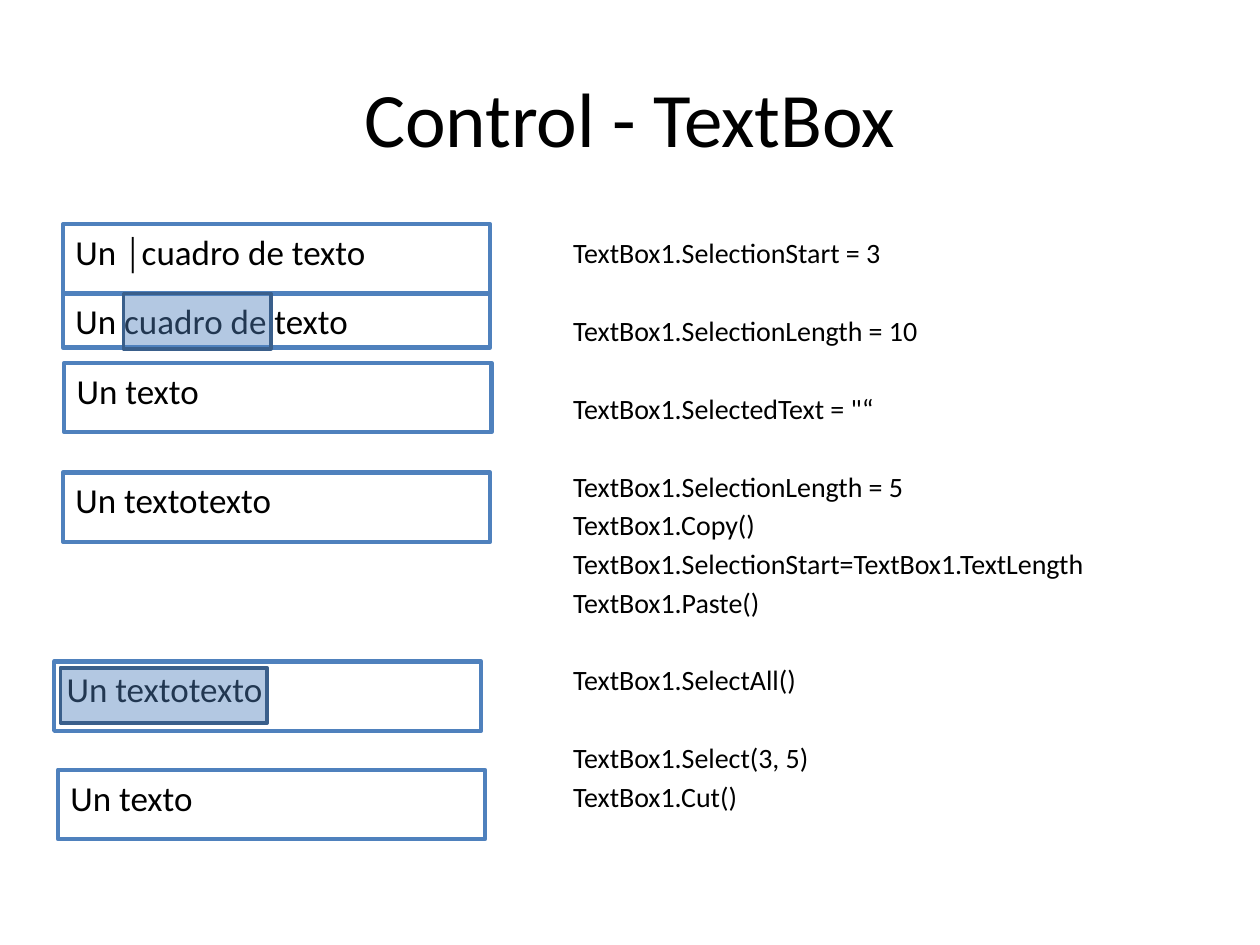
import pptx
import pptx.util
import pptx.dml.color
import pptx.enum.shapes
import pptx.enum.text
from lxml import etree

Inches, Pt = pptx.util.Inches, pptx.util.Pt
ANCHOR = pptx.enum.text.MSO_ANCHOR
ALIGN = pptx.enum.text.PP_ALIGN

TITLE = "Control - TextBox"
# Each group of statements is set apart by the height of one line.
CODE_GROUPS = [
    ["TextBox1.SelectionStart = 3"],
    ["TextBox1.SelectionLength = 10"],
    ["TextBox1.SelectedText = \"“"],
    ["TextBox1.SelectionLength = 5", "TextBox1.Copy()",
     "TextBox1.SelectionStart=TextBox1.TextLength", "TextBox1.Paste()"],
    ["TextBox1.SelectAll()"],
    ["TextBox1.Select(3, 5)", "TextBox1.Cut()"],
]
# text, left, top, height
FIELDS = [
    ("Un │cuadro de texto", 0.5, 1.78, 0.55),
    ("Un cuadro de texto", 0.5, 2.33, 0.43),
    ("Un texto", 0.51, 2.88, 0.55),
    ("Un textotexto", 0.5, 3.75, 0.55),
    ("Un textotexto", 0.43, 5.25, 0.55),
    ("Un texto", 0.46, 6.11, 0.55),
]
FIELD_WIDTH = 3.39
# left, top, width
SELECTIONS = [(0.98, 2.33, 1.17), (0.48, 5.3, 1.64)]
SELECTION_HEIGHT = 0.44
SELECTION_ALPHA = 43
LINE_GAP, LINE_HEIGHT = 2.9, 19.5
GROUP_GAP = LINE_HEIGHT + 2 * LINE_GAP


def color(value):
    return pptx.dml.color.RGBColor.from_string(value)


def write(box, lines, size, align=ALIGN.LEFT, anchor=ANCHOR.TOP):
    """Fill a box with (text, space before) lines."""
    frame = box.text_frame
    frame.word_wrap = True
    frame.vertical_anchor = anchor
    for index, (text, gap) in enumerate(lines):
        para = frame.paragraphs[0] if index == 0 else frame.add_paragraph()
        para.alignment = align
        if gap:
            para.space_before = Pt(gap)
        span = para.add_run()
        span.text = text
        for name, value in {"name": "Calibri", "size": Pt(size)}.items():
            setattr(span.font, name, value)
        span.font.color.rgb = color("000000")


def add_rectangle(page, place, fill, line, weight):
    shape = page.shapes.add_shape(
        pptx.enum.shapes.MSO_SHAPE.RECTANGLE, *map(Inches, place))
    shape.shadow.inherit = False
    shape.fill.solid()
    shape.fill.fore_color.rgb = color(fill)
    shape.line.color.rgb = color(line)
    shape.line.width = Pt(weight)
    return shape


def set_alpha(shape, percent):
    space = "{http://schemas.openxmlformats.org/drawingml/2006/main}"
    tint = shape.fill._xPr.find(f"{space}solidFill/{space}srgbClr")
    etree.SubElement(tint, space + "alpha", val=str(percent * 1000))


def main():
    deck = pptx.Presentation()
    deck.slide_width, deck.slide_height = Inches(10), Inches(7.5)
    page = deck.slides.add_slide(deck.slide_layouts[6])

    title = page.shapes.add_textbox(*map(Inches, (0.5, 0.3, 9, 1.25)))
    write(title, [(TITLE, 0)], 44, ALIGN.CENTER, ANCHOR.MIDDLE)

    code_lines = []
    for group in CODE_GROUPS:
        for index, text in enumerate(group):
            gap = LINE_GAP if index else GROUP_GAP
            code_lines.append((text, gap if code_lines else 0))
    code = page.shapes.add_textbox(*map(Inches, (4.45, 1.82, 5.04, 5.12)))
    write(code, code_lines, 16)

    for text, left, top, height in FIELDS:
        field = add_rectangle(page, (left, top, FIELD_WIDTH, height),
                              "FFFFFF", "4F81BD", 2.5)
        write(field, [(text, 0)], 20)

    for left, top, width in SELECTIONS:
        selection = add_rectangle(page, (left, top, width, SELECTION_HEIGHT),
                                  "4F81BD", "3A5F8B", 2)
        set_alpha(selection, SELECTION_ALPHA)

    deck.save("out.pptx")


if __name__ == "__main__":
    main()
